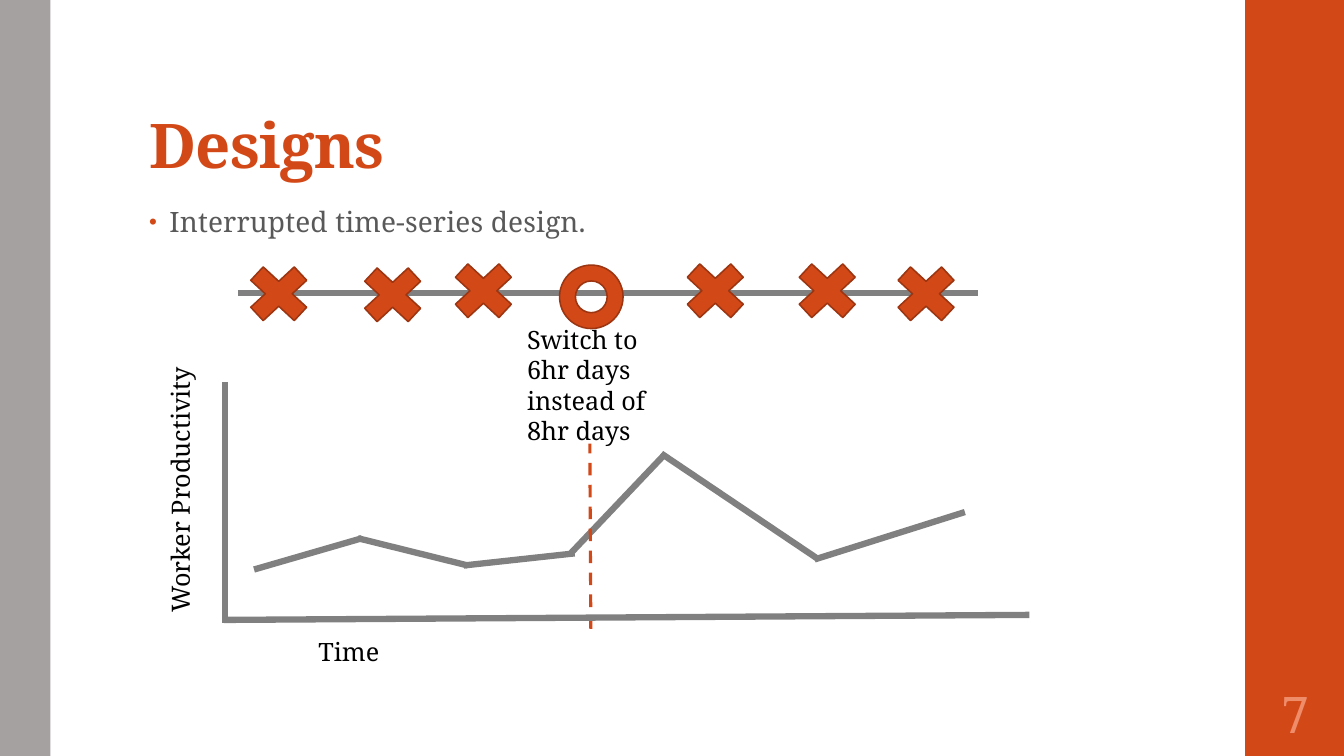
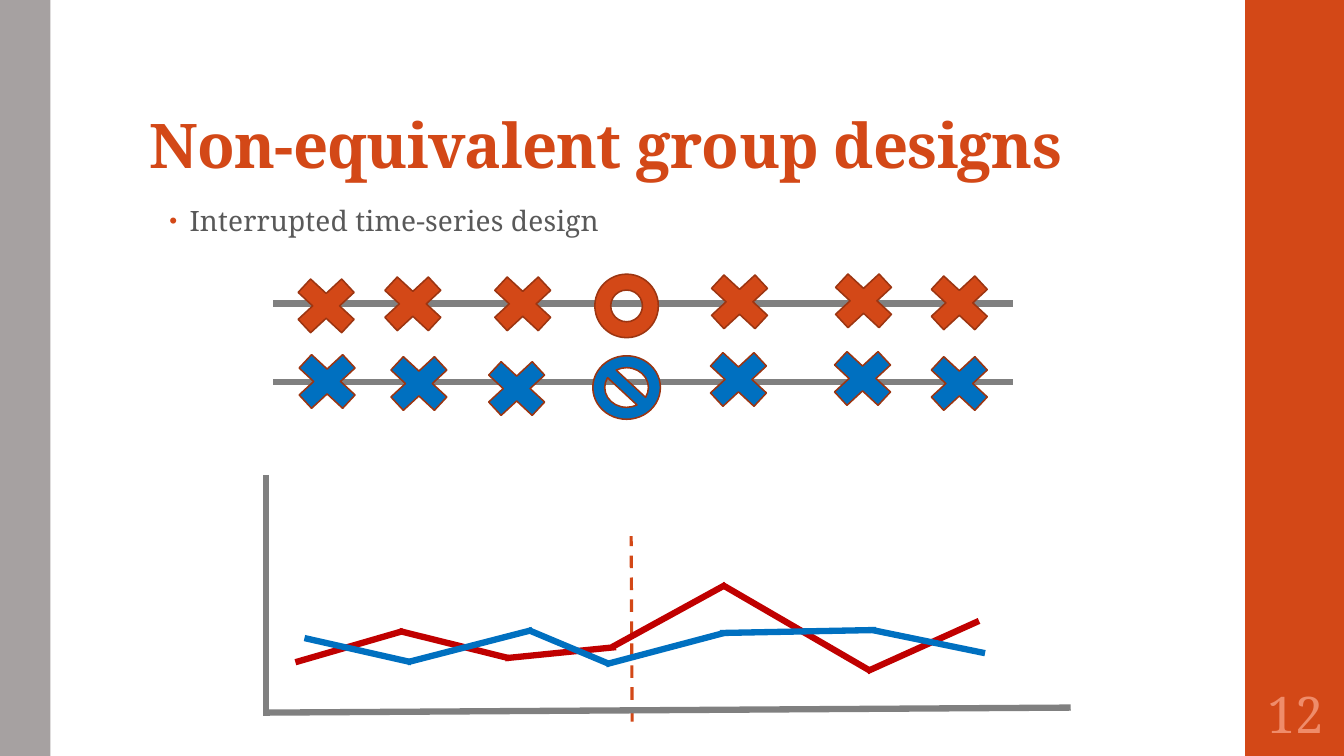
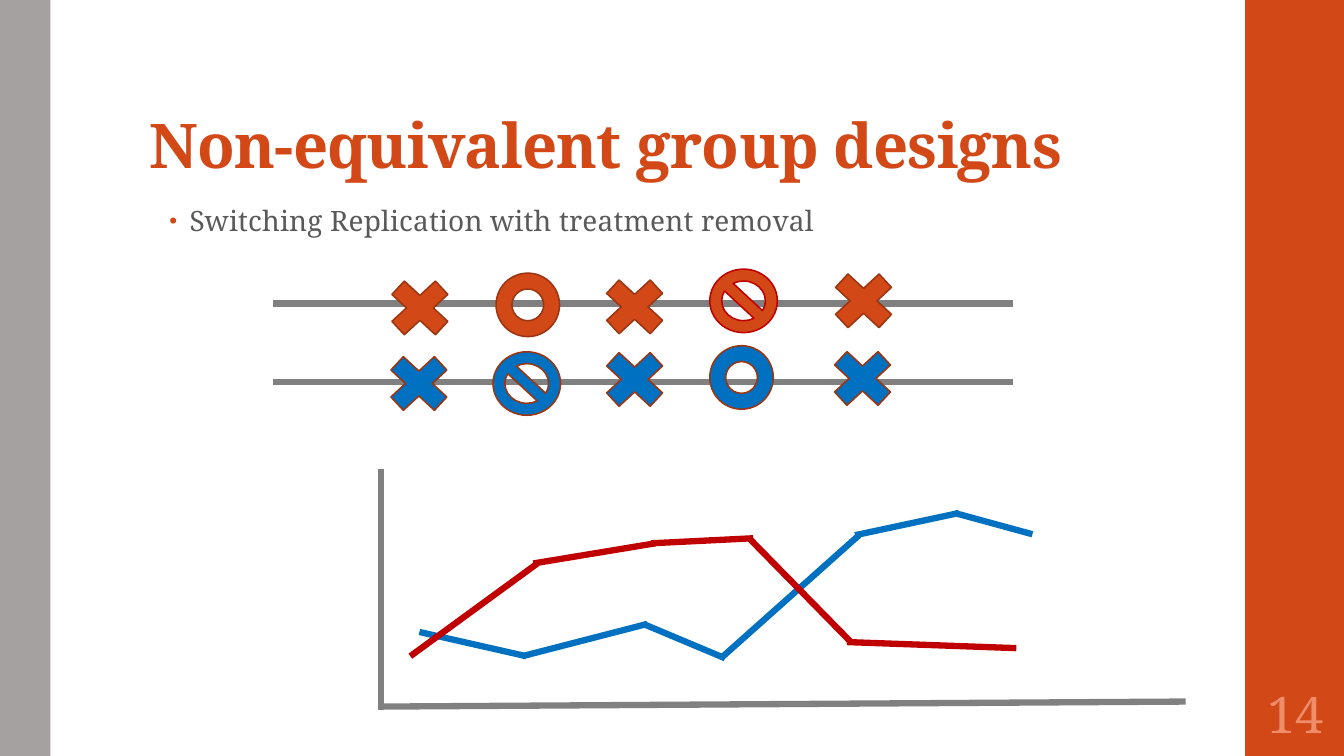
from itertools import pairwise

from lxml import etree
from pptx import Presentation
from pptx.dml.color import RGBColor
from pptx.enum.dml import MSO_LINE
from pptx.enum.shapes import MSO_CONNECTOR, MSO_SHAPE
from pptx.enum.text import MSO_ANCHOR, MSO_AUTO_SIZE, PP_ALIGN
from pptx.oxml.ns import qn
from pptx.util import Inches, Pt

# Palette and type
ORANGE = RGBColor(0xD3, 0x48, 0x17)
RUST = RGBColor(0x9C, 0x35, 0x11)
SALMON = RGBColor(0xEF, 0x8C, 0x6A)
BLUE = RGBColor(0x00, 0x70, 0xC0)
RED = RGBColor(0xC0, 0x00, 0x00)
GRAY = RGBColor(0x80, 0x80, 0x80)
WARM_GRAY = RGBColor(0xA6, 0xA1, 0xA1)
DARK_GRAY = RGBColor(0x59, 0x59, 0x59)
BLACK = RGBColor(0x00, 0x00, 0x00)
FONT = "Noto Serif"

# Enum members
STRAIGHT = MSO_CONNECTOR.STRAIGHT
RECTANGLE = MSO_SHAPE.RECTANGLE
DASH = MSO_LINE.DASH
TOP, MIDDLE, BOTTOM = MSO_ANCHOR.TOP, MSO_ANCHOR.MIDDLE, MSO_ANCHOR.BOTTOM
LEFT, CENTER = PP_ALIGN.LEFT, PP_ALIGN.CENTER
NO_FIT, GROW = MSO_AUTO_SIZE.NONE, MSO_AUTO_SIZE.SHAPE_TO_FIT_TEXT

# Timeline marks: preset shape, width, height
CROSS = (MSO_SHAPE.MATH_MULTIPLY, 0.83, 0.77)
RING = (MSO_SHAPE.DONUT, 0.63, 0.63)
BARRED = (MSO_SHAPE.NO_SYMBOL, 0.67, 0.63)

TIMELINE_LENGTH = 7.34
JOINT_OVERLAP = 0.02


# Text
def add_run(para, text, size, color, bold=False, spacing=0):
    span = para.add_run()
    span.text = text
    span.font.name = FONT
    span.font.size = Pt(size)
    span.font.bold = bold
    span.font.color.rgb = color
    if spacing:
        span.font._element.set("spc", str(spacing))


def place(shape, left, top, width, height):
    shape.left, shape.top = Inches(left), Inches(top)
    shape.width, shape.height = Inches(width), Inches(height)


def set_frame(frame, anchor, insets=(0.1, 0.05, 0.1, 0.05), fit=NO_FIT):
    frame.word_wrap = True
    frame.auto_size = fit
    frame.vertical_anchor = anchor
    (frame.margin_left, frame.margin_top,
     frame.margin_right, frame.margin_bottom) = map(Inches, insets)


def set_title(page, text):
    title = page.shapes.title
    place(title, 1.38, 0.32, 10.6, 1.53)
    set_frame(title.text_frame, BOTTOM, (0.1, 0.03, 0.1, 0.05))
    para = title.text_frame.paragraphs[0]
    para.alignment = LEFT
    para.line_spacing = 0.9
    add_run(para, text, 44, ORANGE, bold=True, spacing=-50)


def set_bullet(para):
    properties = para._p.get_or_add_pPr()
    properties.set("marL", str(Inches(0.2)))
    properties.set("indent", str(Inches(-0.2)))
    color = etree.SubElement(properties, qn("a:buClr"))
    etree.SubElement(color, qn("a:srgbClr"), val=str(ORANGE))
    etree.SubElement(properties, qn("a:buSzPct"), val="80000")
    etree.SubElement(properties, qn("a:buChar"), char="•")


def set_body(page, text, left, top):
    body = page.placeholders[1]
    place(body, left, top, 9.4, 4.76)
    set_frame(body.text_frame, TOP)
    para = body.text_frame.paragraphs[0]
    para.line_spacing = 0.95
    para.space_before, para.space_after = Pt(14), Pt(2)
    set_bullet(para)
    add_run(para, text, 20, DARK_GRAY, spacing=10)


def add_label(page, text, left, top, width, height, rotation=0):
    box = page.shapes.add_textbox(0, 0, 0, 0)
    place(box, left, top, width, height)
    box.rotation = rotation
    set_frame(box.text_frame, TOP, fit=GROW)
    add_run(box.text_frame.paragraphs[0], text, 18, BLACK)


def add_page_number(page, number):
    box = page.shapes.add_textbox(0, 0, 0, 0)
    place(box, 12.35, 6.75, 1, 0.65)
    set_frame(box.text_frame, MIDDLE, (0.05,) * 4)
    para = box.text_frame.paragraphs[0]
    para.alignment = CENTER
    add_run(para, str(number), 36, SALMON)


# Lines and shapes
def add_line(page, start, end, color=GRAY, width=4.5, dash=None):
    line = page.shapes.add_connector(STRAIGHT, *map(Inches, start + end))
    line.line.color.rgb = color
    line.line.width = Pt(width)
    if dash:
        line.line.dash_style = dash
    etree.SubElement(line.element.spPr, qn("a:effectLst"))


def add_shape(page, preset, left, top, width, height, fill, outline=None):
    shape = page.shapes.add_shape(preset, *map(Inches, (left, top, width, height)))
    shape.shadow.inherit = False
    shape.fill.solid()
    shape.fill.fore_color.rgb = fill
    if outline is None:
        shape.line.fill.background()
    else:
        shape.line.color.rgb = outline
        shape.line.width = Pt(1.1)
    return shape


def add_timeline(page, left, y):
    add_line(page, (left, y), (left + TIMELINE_LENGTH, y))


def add_marks(page, mark, fill, corners, outline=RUST):
    preset, width, height = mark
    for left, top in corners:
        add_shape(page, preset, left, top, width, height, fill, outline)


def add_axes(page, x, top):
    add_line(page, (x, top), (x, top + 2.39))
    add_line(page, (x + 7.98, top + 2.31), (x - 0.01, top + 2.36))


def add_trend(page, points, color):
    for (x1, y1), (x2, y2) in pairwise(points):
        add_line(page, (x1 - JOINT_OVERLAP, y1), (x2 + JOINT_OVERLAP, y2), color)


def add_switch_line(page, x, top):
    add_line(page, (x + 0.01, top + 1.84), (x, top), ORANGE, 2.25, DASH)


# Pages
def add_page(deck, number, title, bullet, body_left=1.58, body_top=1.99):
    page = deck.slides.add_slide(deck.slide_layouts[1])
    set_title(page, title)
    set_body(page, bullet, body_left, body_top)
    add_page_number(page, number)
    return page


def move_bands_to_master(deck, page):
    bands = ((12.35, 1, ORANGE), (0, 0.5, WARM_GRAY))
    for index, (left, width, fill) in enumerate(bands):
        band = add_shape(page, RECTANGLE, left, 0, width, 7.5, fill)
        band.element.nvSpPr.cNvPr.set("id", str(100 + index))
        deck.slide_master.shapes.element.insert(2 + index, band.element)


def build_single_group(deck):
    page = add_page(deck, 7, "Designs", "Interrupted time-series design.", 1.38, 2)
    move_bands_to_master(deck, page)
    add_timeline(page, 2.36, 2.91)
    add_marks(page, CROSS, ORANGE, [(2.35, 2.53), (3.48, 2.54), (4.38, 2.5),
                                    (6.68, 2.5), (7.79, 2.5), (8.77, 2.53)])
    add_marks(page, RING, ORANGE, [(5.55, 2.63)])
    add_label(page, "Switch to 6hr days instead of 8hr days", 5.13, 3.17, 1.68, 1.31)
    add_trend(page, [(2.54, 5.65), (3.57, 5.34), (4.62, 5.61), (5.68, 5.49),
                     (6.58, 4.5), (8.1, 5.55), (9.55, 5.08)], GRAY)
    add_switch_line(page, 5.85, 4.4)
    add_axes(page, 2.23, 3.79)
    add_label(page, "Time", 3.06, 6.26, 2.19, 0.4)
    add_label(page, "Worker Productivity", 0.45, 4.64, 2.67, 0.4, rotation=270)


def build_two_groups(deck):
    page = add_page(deck, 12, "Non-equivalent group designs",
                    "Interrupted time-series design")
    for y in (3.01, 3.79):
        add_timeline(page, 2.71, y)
    add_marks(page, CROSS, ORANGE, [(2.82, 2.65), (3.68, 2.63), (4.77, 2.63),
                                    (6.92, 2.61), (8.15, 2.6), (9.1, 2.62)])
    add_marks(page, RING, ORANGE, [(5.9, 2.72)])
    add_marks(page, CROSS, BLUE, [(2.83, 3.4), (3.74, 3.42), (4.71, 3.47),
                                  (6.91, 3.38), (8.14, 3.37), (9.1, 3.42)])
    add_marks(page, BARRED, BLUE, [(5.88, 3.53)])
    add_switch_line(page, 6.26, 5.32)
    add_axes(page, 2.64, 4.71)
    add_trend(page, [(2.95, 6.57), (3.98, 6.26), (5.03, 6.53), (6.09, 6.42),
                     (7.18, 5.8), (8.62, 6.66), (9.69, 6.16)], RED)
    add_trend(page, [(3.04, 6.33), (4.06, 6.57), (5.26, 6.25), (6.03, 6.59),
                     (7.16, 6.28), (8.67, 6.25), (9.75, 6.48)], BLUE)


def build_switching_replication(deck):
    page = add_page(deck, 14, "Non-equivalent group designs",
                    "Switching Replication with treatment removal")
    for y in (3.01, 3.79):
        add_timeline(page, 2.71, y)
    add_marks(page, CROSS, ORANGE, [(3.75, 2.67), (5.88, 2.66), (8.15, 2.6)])
    add_marks(page, RING, ORANGE, [(4.92, 2.71)])
    add_marks(page, BARRED, ORANGE, [(7.04, 2.67)], outline=RED)
    add_marks(page, CROSS, BLUE, [(3.74, 3.42), (5.88, 3.38), (8.14, 3.37)])
    add_marks(page, BARRED, BLUE, [(4.89, 3.49)])
    add_marks(page, RING, BLUE, [(7.04, 3.43)])
    add_axes(page, 3.78, 4.65)
    add_trend(page, [(4.18, 6.27), (5.2, 6.51), (6.4, 6.19), (7.17, 6.53),
                     (8.5, 5.31), (9.49, 5.09), (10.22, 5.3)], BLUE)
    add_trend(page, [(4.09, 6.51), (5.31, 5.59), (6.48, 5.39), (7.45, 5.34),
                     (8.42, 6.37), (10.06, 6.43)], RED)


def main():
    deck = Presentation()
    deck.slide_width, deck.slide_height = Inches(13.33), Inches(7.5)
    build_single_group(deck)
    build_two_groups(deck)
    build_switching_replication(deck)
    deck.save("out.pptx")


main()
